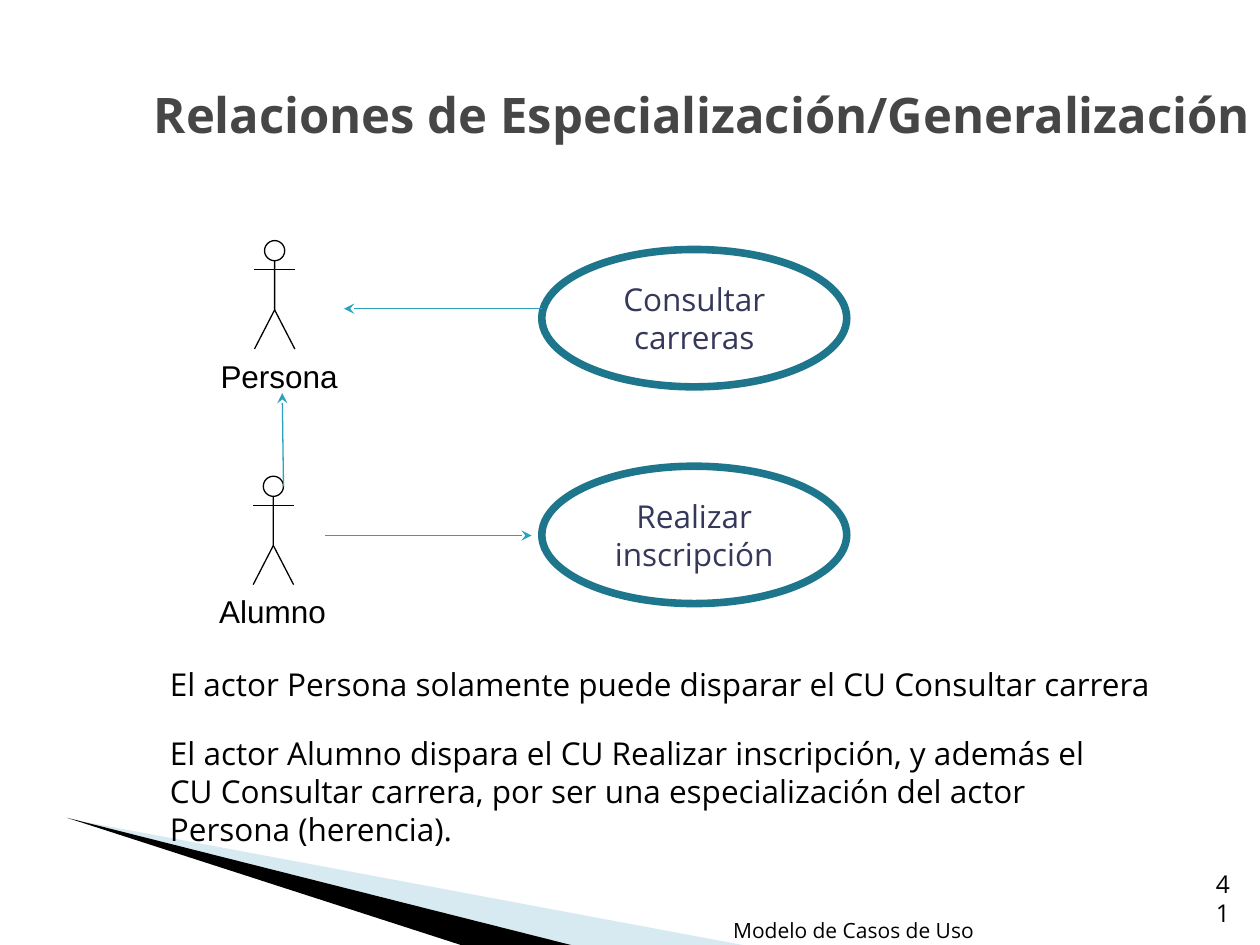
"""Build the slide on specialization and generalization between use-case actors."""
import pptx
import pptx.dml.color
import pptx.enum.dml
import pptx.enum.shapes
import pptx.enum.text
import pptx.oxml
import pptx.oxml.ns
import pptx.util
from pptx.util import Inches

COLORS = {"title": "464646", "black": "000000", "white": "FFFFFF", "wedge": "9FCBDC",
          "oval": "1E768C", "oval_text": "35385A", "arrow": "2DA2BF"}
RGB = {name: pptx.dml.color.RGBColor.from_string(value) for name, value in COLORS.items()}
ALIGN = pptx.enum.text.PP_ALIGN
ANCHOR = pptx.enum.text.MSO_ANCHOR
SHAPE = pptx.enum.shapes.MSO_SHAPE


def write(box, text, size, color="black", align=ALIGN.LEFT, anchor=ANCHOR.TOP,
          font="Open Sans", bold=False, inset=0.1, wrap=True):
    frame = box.text_frame
    frame.auto_size = pptx.enum.text.MSO_AUTO_SIZE.NONE
    frame.word_wrap = wrap
    frame.vertical_anchor = anchor
    frame.margin_left = frame.margin_right = Inches(inset)
    frame.margin_top = frame.margin_bottom = Inches(inset / 2)
    para = frame.paragraphs[0]
    para.alignment = align
    span = para.add_run()
    span.text = text
    span.font.name = font
    span.font.size = pptx.util.Pt(size)
    span.font.bold = bold
    span.font.color.rgb = RGB[color]


def draw_line(shapes, start, end, color="black", arrow=None):
    line = shapes.add_connector(pptx.enum.shapes.MSO_CONNECTOR.STRAIGHT,
                                *[Inches(value) for value in (*start, *end)])
    line.line.color.rgb = RGB[color]
    line.line.width = pptx.util.Pt(0.75)
    namespace = pptx.oxml.ns.nsdecls("a")
    if arrow:
        line.line._get_or_add_ln().append(
            pptx.oxml.parse_xml(f'<a:{arrow} {namespace} type="stealth"/>'))
    line._element.spPr.append(pptx.oxml.parse_xml(f"<a:effectLst {namespace}/>"))


deck = pptx.Presentation()
deck.slide_width, deck.slide_height = Inches(10), Inches(7.5)
page = deck.slides.add_slide(deck.slide_layouts[5])

wedges = [("wedge", [(0.55, 6.5), (5.95, 7.51), (4.56, 7.51)]),
          ("black", [(0.53, 6.49), (4.57, 7.51), (3.72, 7.52)])]
for color, corners in wedges:
    points = [(Inches(x), Inches(y)) for x, y in corners]
    builder = page.shapes.build_freeform(*points[0])
    builder.add_line_segments(points[1:], close=True)
    wedge = builder.convert_to_shape()
    wedge.shadow.inherit = False
    wedge.fill.solid()
    wedge.fill.fore_color.rgb = RGB[color]
    wedge.line.fill.background()
    if color == "wedge":
        tint = wedge._element.spPr.find(".//" + pptx.oxml.ns.qn("a:srgbClr"))
        tint.append(pptx.oxml.parse_xml(
            f'<a:alpha {pptx.oxml.ns.nsdecls("a")} val="40000"/>'))

title = page.shapes.title
title.left, title.top = Inches(0.2), Inches(0.28)
title.width, title.height = Inches(9.92), Inches(1.25)
write(title, "Relaciones de Especialización/Generalización ", 28, "title",
      ALIGN.RIGHT, ANCHOR.MIDDLE, bold=True)

footers = [("Modelo de Casos de Uso", 12, 5.26, 7.13, 2.57), ("41", 14, 9.46, 7.01, 0.4)]
for text, size, left, top, width in footers:
    footer = page.shapes.add_textbox(Inches(left), Inches(top), Inches(width), Inches(0.4))
    write(footer, text, size, align=ALIGN.RIGHT, anchor=ANCHOR.BOTTOM)

for name, center, top, width in [("Persona", 2.18, 1.91, 0.99), ("Alumno", 2.17, 3.78, 0.86)]:
    actor = page.shapes.add_group_shape().shapes
    head = actor.add_shape(SHAPE.OVAL, Inches(center - 0.08), Inches(top),
                           Inches(0.16), Inches(0.16))
    head.shadow.inherit = False
    head.fill.solid()
    head.fill.fore_color.rgb = RGB["white"]
    head.line.color.rgb = RGB["black"]
    head.line.width = pptx.util.Pt(0.75)
    hip = (center, top + 0.55)
    draw_line(actor, (center - 0.16, top + 0.23), (center + 0.16, top + 0.23))
    draw_line(actor, hip, (center + 0.16, top + 0.86))
    body = actor.build_freeform(Inches(center), Inches(top + 0.16))
    body.add_line_segments([(Inches(hip[0]), Inches(hip[1])),
                            (Inches(center - 0.16), Inches(top + 0.86))], close=False)
    body = body.convert_to_shape()
    body.shadow.inherit = False
    body.fill.background()
    body.line.color.rgb = RGB["black"]
    body.line.width = pptx.util.Pt(0.75)
    label = actor.add_textbox(Inches(center - 0.43), Inches(top + 0.92),
                              Inches(width), Inches(0.3))
    write(label, name, 18, font="Arial", inset=0, wrap=False)

for text, top in [("Consultar carreras", 1.98), ("Realizar inscripción", 3.7)]:
    oval = page.shapes.add_shape(SHAPE.OVAL, Inches(4.3), Inches(top), Inches(2.42), Inches(1.09))
    oval.shadow.inherit = False
    oval.fill.background()
    oval.line.color.rgb = RGB["oval"]
    oval.line.width = pptx.util.Pt(4.33)
    write(oval, text, 18, "oval_text", ALIGN.CENTER, ANCHOR.MIDDLE)

arrows = [((2.25, 3.86), (2.24, 3.12), "tailEnd"),
          ((2.73, 2.45), (4.3, 2.45), "headEnd"),
          ((2.58, 4.25), (4.22, 4.25), "tailEnd")]
for start, end, arrow in arrows:
    draw_line(page.shapes, start, end, "arrow", arrow)

notes = [("El actor Persona solamente puede disparar el CU Consultar carrera", 5.23, 8.36, 0.4),
         ("El actor Alumno dispara el CU Realizar inscripción, y además el CU Consultar "
          "carrera, por ser una especialización del actor Persona (herencia).",
          5.78, 7.81, 1.01)]
for text, top, width, height in notes:
    box = page.shapes.add_textbox(Inches(1.25), Inches(top), Inches(width), Inches(height))
    write(box, text, 18)

deck.save("out.pptx")
